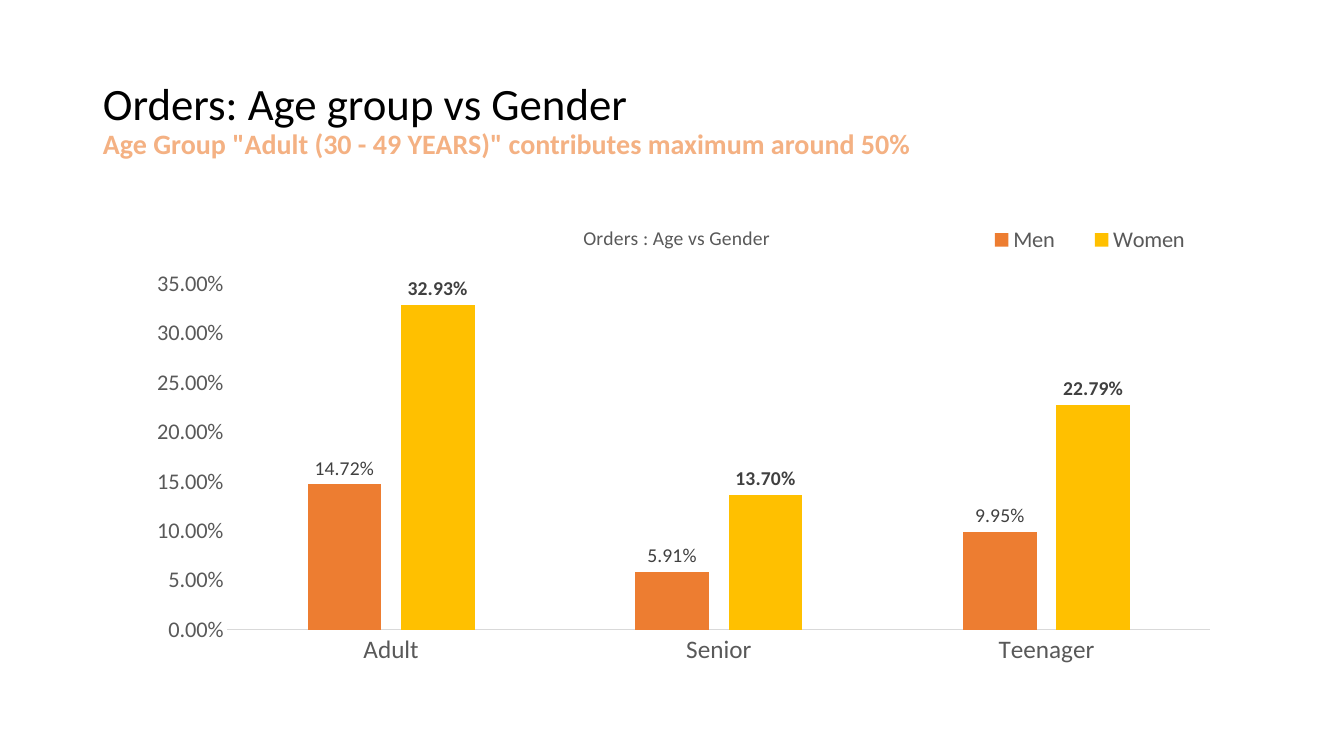
from dataclasses import dataclass

from lxml import etree
from pptx import Presentation
from pptx.chart.data import CategoryChartData
from pptx.dml.color import RGBColor
from pptx.enum.chart import XL_CHART_TYPE, XL_LABEL_POSITION, XL_LEGEND_POSITION, XL_TICK_MARK
from pptx.enum.text import MSO_ANCHOR, MSO_AUTO_SIZE, PP_ALIGN
from pptx.oxml.ns import qn
from pptx.util import Inches, Pt

COLUMNS = XL_CHART_TYPE.COLUMN_CLUSTERED
ABOVE_BAR = XL_LABEL_POSITION.OUTSIDE_END
LEGEND_RIGHT = XL_LEGEND_POSITION.RIGHT
NO_TICK = XL_TICK_MARK.NONE
MIDDLE = MSO_ANCHOR.MIDDLE
NO_AUTOFIT = MSO_AUTO_SIZE.NONE
LEFT = PP_ALIGN.LEFT

BLACK = RGBColor(0x00, 0x00, 0x00)
PEACH = RGBColor(0xF4, 0xB1, 0x83)
ORANGE = RGBColor(0xED, 0x7D, 0x31)
GOLD = RGBColor(0xFF, 0xC0, 0x00)
GREY = RGBColor(0x59, 0x59, 0x59)
DARK_GREY = RGBColor(0x40, 0x40, 0x40)
PALE_GREY = RGBColor(0xD9, 0xD9, 0xD9)

FONT = "Calibri"
PERCENT = "0.00%"
TITLE_ONLY = 5
MARGIN, CONTENT_WIDTH = Inches(0.92), Inches(11.5)


@dataclass(frozen=True)
class Gender:
    name: str
    shares: tuple[float, ...]
    color: RGBColor
    bold: bool


@dataclass(frozen=True)
class Area:
    """Part of the chart, in shares of its width and height."""
    x: float
    y: float
    w: float | None = None
    h: float | None = None


AGE_GROUPS = ("Adult", "Senior", "Teenager")
GENDERS = (
    Gender("Men", (0.1472, 0.0591, 0.0995), ORANGE, False),
    Gender("Women", (0.3293, 0.1370, 0.2279), GOLD, True),
)
PLOT_AREA = Area(0.116, 0.172, 0.848, 0.721)
LEGEND_AREA = Area(0.75, 0.04, 0.22, 0.08)
CHART_TITLE_AREA = Area(0.42, 0.04)


def style_font(font, size: float, color: RGBColor, bold: bool = False) -> None:
    font.name = FONT
    font.size = Pt(size)
    font.bold = bold
    font.color.rgb = color


def place(element, area: Area, index: int, inner: bool = False) -> None:
    """Give a chart element a manual layout at the given child index."""
    for old in element.findall(qn("c:layout")):
        element.remove(old)
    layout = etree.Element(qn("c:layout"))
    manual = etree.SubElement(layout, qn("c:manualLayout"))
    settings = [("layoutTarget", "inner")] if inner else []
    settings += [("xMode", "edge"), ("yMode", "edge")]
    settings += [(key, getattr(area, key)) for key in "xywh"]
    for tag, value in settings:
        if value is not None:
            etree.SubElement(manual, qn(f"c:{tag}")).set("val", str(value))
    element.insert(index, layout)


def add_heading(page) -> None:
    box = page.shapes.title
    box.left, box.top, box.width, box.height = MARGIN, Inches(0.4), CONTENT_WIDTH, Inches(1.6)
    frame = box.text_frame
    frame.auto_size = NO_AUTOFIT
    frame.word_wrap = True
    frame.vertical_anchor = MIDDLE
    para = frame.paragraphs[0]
    para.alignment = LEFT
    para.line_spacing = 0.9
    para.space_before = Pt(0)

    span = para.add_run()
    span.text = "Orders: Age group vs Gender"
    style_font(span.font, 32, BLACK)
    # The break carries its own size, which sets the height of the first line
    para.add_line_break()
    line_break = para._p.find(qn("a:br"))
    etree.SubElement(line_break, qn("a:rPr")).set("sz", "3200")
    span = para.add_run()
    span.text = 'Age Group "Adult (30 - 49 YEARS)" contributes maximum around 50%'
    style_font(span.font, 20, PEACH, bold=True)


def style_axes(chart) -> None:
    for axis, size in ((chart.category_axis, 18), (chart.value_axis, 16)):
        axis.has_major_gridlines = False
        axis.major_tick_mark = axis.minor_tick_mark = NO_TICK
        style_font(axis.tick_labels.font, size, GREY)
    base_line = chart.category_axis.format.line
    base_line.color.rgb = PALE_GREY
    base_line.width = Pt(0.75)

    values = chart.value_axis
    values.minimum_scale, values.maximum_scale, values.major_unit = 0, 0.35, 0.05
    values.format.line.fill.background()
    values.tick_labels.number_format = PERCENT
    values.tick_labels.number_format_is_linked = False


def style_series(plot) -> None:
    plot.gap_width, plot.overlap = 219, -27
    plot.vary_by_categories = False
    for series, gender in zip(plot.series, GENDERS):
        series.format.fill.solid()
        series.format.fill.fore_color.rgb = gender.color
        series.invert_if_negative = False
        labels = series.data_labels
        labels.show_value = True
        labels.position = ABOVE_BAR
        labels.number_format = PERCENT
        labels.number_format_is_linked = False
        style_font(labels.font, 14, DARK_GREY, gender.bold)


def add_orders_chart(page) -> None:
    data = CategoryChartData(number_format=PERCENT)
    data.categories = AGE_GROUPS
    for gender in GENDERS:
        data.add_series(gender.name, gender.shares)
    chart = page.shapes.add_chart(
        COLUMNS, MARGIN, Inches(2), CONTENT_WIDTH, Inches(4.76), data).chart
    style_font(chart.font, 10, BLACK)
    style_axes(chart)
    style_series(chart.plots[0])
    place(chart._chartSpace.chart.plotArea, PLOT_AREA, 0, inner=True)

    # Chart title
    chart.has_title = True
    span = chart.chart_title.text_frame.paragraphs[0].add_run()
    span.text = "Orders : Age vs Gender"
    style_font(span.font, 14, GREY)
    place(chart.chart_title._element, CHART_TITLE_AREA, 1)

    # Legend
    chart.has_legend = True
    legend = chart.legend
    legend.position = LEGEND_RIGHT
    legend.include_in_layout = False
    style_font(legend.font, 16, GREY)
    place(legend._element, LEGEND_AREA, 1)


deck = Presentation()
deck.slide_width, deck.slide_height = Inches(13.33), Inches(7.5)
page = deck.slides.add_slide(deck.slide_layouts[TITLE_ONLY])
add_heading(page)
add_orders_chart(page)
deck.save("out.pptx")
